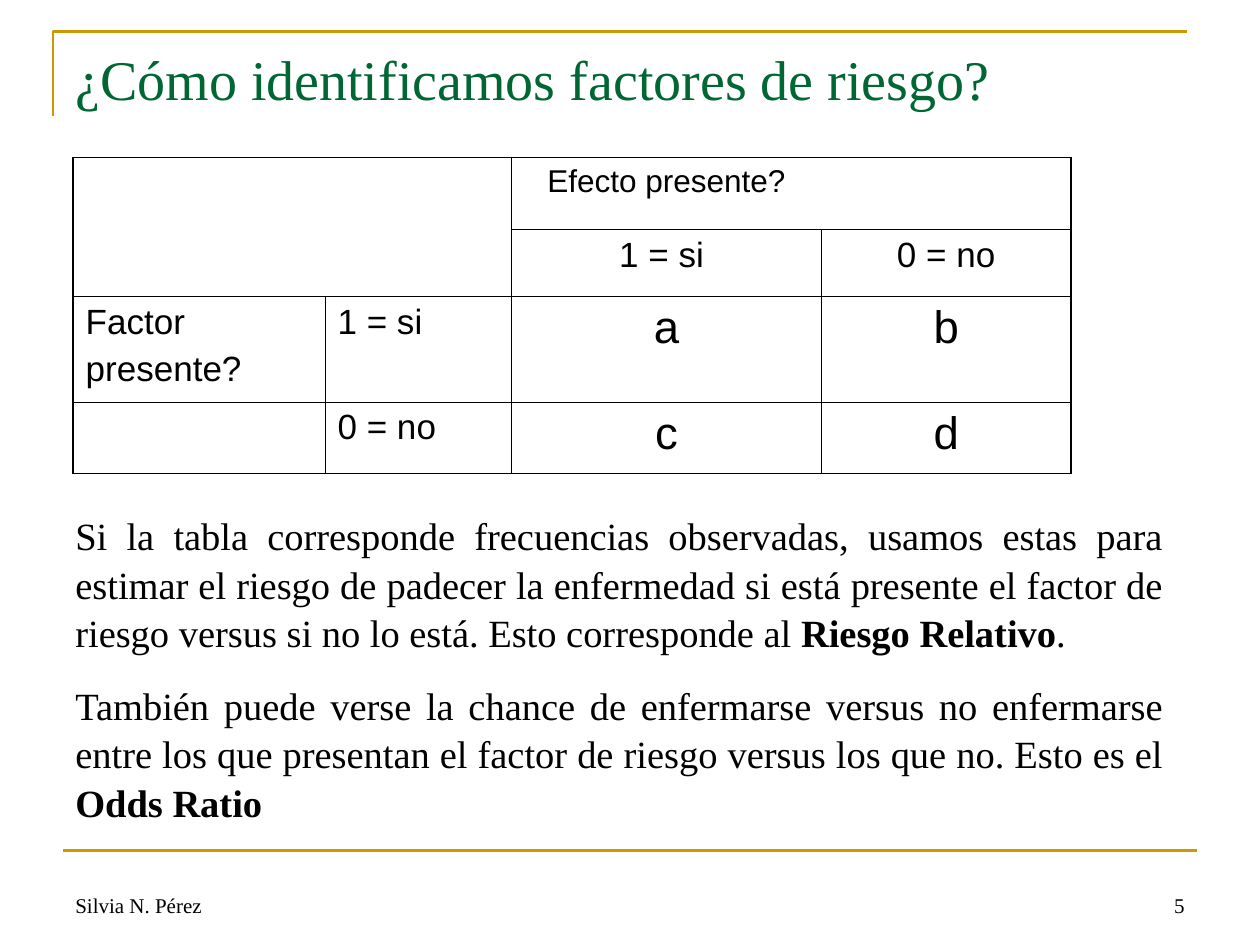
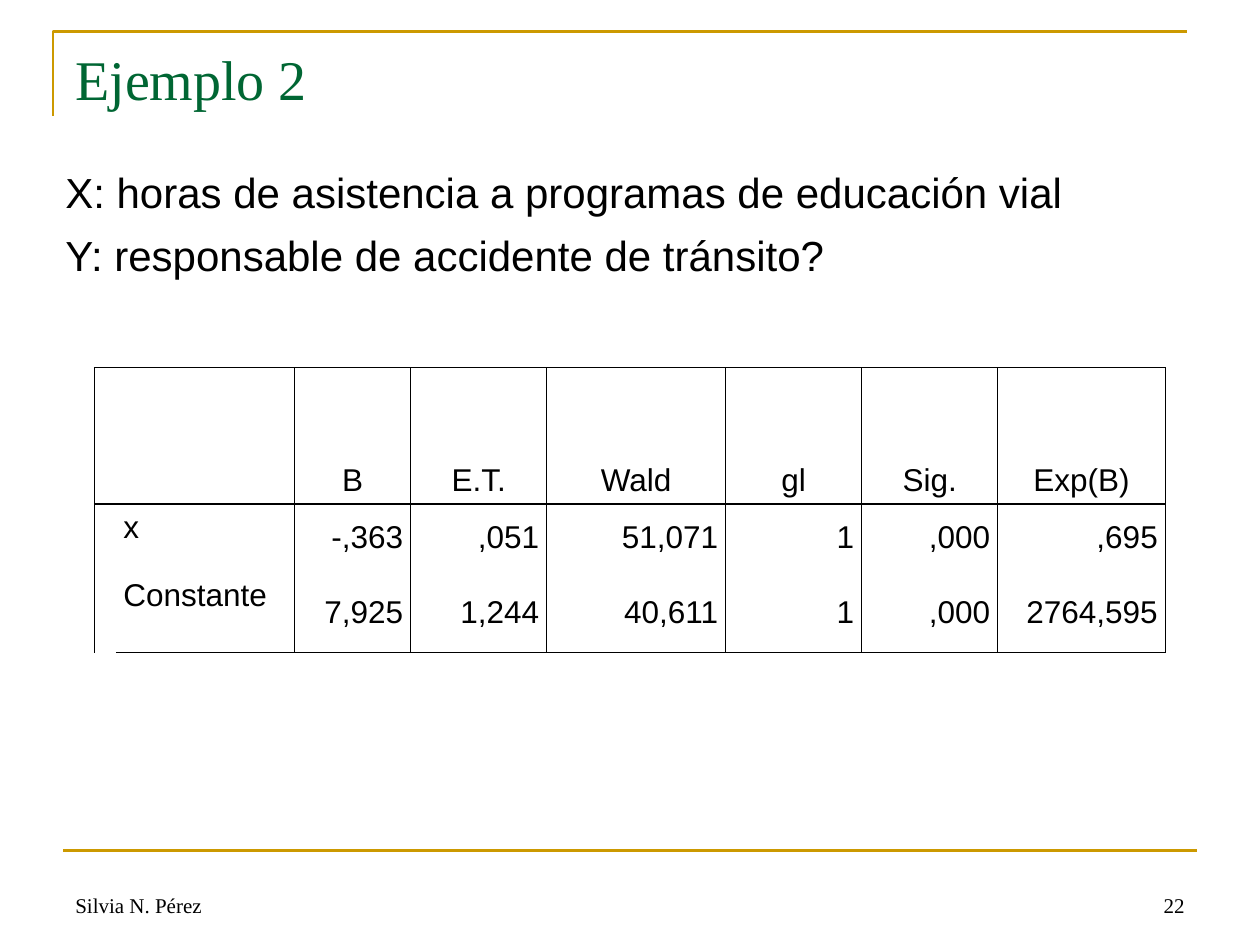
from lxml import etree
from pptx import Presentation
from pptx.dml.color import RGBColor
from pptx.enum.shapes import MSO_CONNECTOR
from pptx.enum.text import MSO_ANCHOR, PP_ALIGN
from pptx.oxml.ns import qn
from pptx.util import Inches, Pt

LEFT, CENTER, RIGHT, JUSTIFY = PP_ALIGN.LEFT, PP_ALIGN.CENTER, PP_ALIGN.RIGHT, PP_ALIGN.JUSTIFY
TOP, MIDDLE, BOTTOM = MSO_ANCHOR.TOP, MSO_ANCHOR.MIDDLE, MSO_ANCHOR.BOTTOM
STRAIGHT = MSO_CONNECTOR.STRAIGHT

COLORS = {"gold": "CC9900", "title": "006633", "text": "000000", "cell": "FFFFFF"}
SERIF, SANS = "Times New Roman", "Arial"
AUTHOR = "Silvia N. Pérez"

# Neighbouring cells with the same letter in "areas" have no line between them.
RISK_TABLE = {
    "at": (0.58, 1.25),
    "columns": [2, 1.48, 2.46, 1.98],
    "rows": [0.57, 0.53, 0.84, 0.57],
    "cells": [
        ["", "", "Efecto presente?", ""],
        ["", "", "1 = si ", "0 = no"],
        ["Factor\npresente?", "1 = si", "a", "b"],
        ["", "0 = no", "c", "d"],
    ],
    "areas": ["AABB", "AACD", "EFGH", "IJKL"],
    "vertical_lines": [1.08, 0.45, 0.45, 0.45, 1.08],
    "horizontal_lines": [1.08, 0.45, 0.45, 0.45, 1.08],
    "side_margin": 0.1,
    "merges": [],
}
RISK_NOTES = [
    [("Si la tabla corresponde frecuencias observadas, usamos estas para estimar el riesgo de "
      "padecer la enfermedad si está presente el factor de riesgo versus si no lo está. "
      "Esto corresponde al ", False), ("Riesgo Relativo", True), (".", False)],
    [("También puede verse la chance de enfermarse versus no enfermarse entre los que presentan "
      "el factor de riesgo versus los que no. Esto es el ", False), ("Odds Ratio ", True)],
]

VARIABLES = [
    [("X: horas de asistencia a programas de educación vial", False)],
    [("Y: responsable de accidente de tránsito?", False)],
]
REGRESSION_TABLE = {
    "at": (0.75, 2.92),
    "columns": [0.17, 1.42, 0.92, 1.08, 1.42, 1.08, 1.08, 1.33],
    "rows": [1.08, 0.54, 0.64],
    "cells": [
        ["", "", "B", "E.T.", "Wald", "gl", "Sig.", "Exp(B)"],
        ["", "x", "-,363", ",051", "51,071", "1", ",000", ",695"],
        ["", "Constante", "7,925", "1,244", "40,611", "1", ",000", "2764,595"],
    ],
    "areas": ["AABCDEFG", "HHIJKLMN", "HHIJKLMN"],
    "vertical_lines": [0.75, 0.45, 0.75] + [0.45] * 6,
    "horizontal_lines": [0.75] * 4,
    "side_margin": 0.06,
    "merges": [((0, 0), (0, 1)), ((1, 0), (2, 0))],
}


def risk_style(row, column):
    """Size, alignment and anchor of a cell in the risk table."""
    if row == 0:
        size = 18
    else:
        size = 26 if row >= 2 and column >= 2 else 20
    return size, CENTER if column >= 2 else LEFT, TOP


def regression_style(row, column):
    """Size, alignment and anchor of a cell in the regression table."""
    if row == 0:
        return 18, CENTER, BOTTOM
    return (18, LEFT, TOP) if column < 2 else (18, RIGHT, MIDDLE)


def color(name):
    return RGBColor.from_string(COLORS[name])


def write(frame, paragraphs, size, font, ink="text", align=LEFT, before=0, spacing=None):
    """Fill a text frame with paragraphs, each a list of (text, bold) spans."""
    for index, spans in enumerate(paragraphs):
        para = frame.paragraphs[0] if index == 0 else frame.add_paragraph()
        para.alignment = align
        if index:
            para.space_before = Pt(before)
        if spacing:
            para.line_spacing = spacing
        for text, bold in spans:
            span = para.add_run()
            span.text = text
            span.font.name = font
            span.font.size = Pt(size)
            span.font.bold = bold
            span.font.color.rgb = color(ink)


def add_text(page, area, paragraphs, size, font, anchor=TOP, **style):
    box = page.shapes.add_textbox(*map(Inches, area))
    frame = box.text_frame
    frame.word_wrap = True
    frame.vertical_anchor = anchor
    write(frame, paragraphs, size, font, **style)


def add_page(deck, title, number):
    """Add a page with the gold frame, the title and the footer."""
    page = deck.slides.add_slide(deck.slide_layouts[6])

    builder = page.shapes.build_freeform(Inches(0.42), Inches(0.92))
    corner = [(Inches(0.42), Inches(0.25)), (Inches(9.42), Inches(0.25))]
    builder.add_line_segments(corner, close=False)
    frame_line = builder.convert_to_shape()
    frame_line.fill.background()
    frame_line.shadow.inherit = False

    footer_line = page.shapes.add_connector(STRAIGHT, *map(Inches, (0.5, 6.75, 9.5, 6.75)))
    etree.SubElement(footer_line._element.spPr, qn("a:effectLst"))
    for shape in (frame_line, footer_line):
        shape.line.color.rgb = color("gold")
        shape.line.width = Pt(1.5)

    for left, text, align in ((0.5, AUTHOR, LEFT), (7.17, str(number), RIGHT)):
        add_text(page, (left, 6.83, 2.33, 0.5), [[(text, False)]], 12, SERIF, BOTTOM, align=align)
    add_text(page, (0.5, 0.3, 9, 1.25), [[(title, False)]], 32, SERIF, ink="title")
    return page


def set_borders(cell, widths):
    """Draw the left, right, top and bottom lines; a width of 0 means no line."""
    properties = cell._tc.get_or_add_tcPr()
    for index, (side, width) in enumerate(zip("LRTB", widths)):
        line = etree.Element(qn(f"a:ln{side}"), w=str(Pt(width)))
        if width:
            fill = etree.SubElement(line, qn("a:solidFill"))
            etree.SubElement(fill, qn("a:srgbClr"), val=COLORS["text"])
        else:
            etree.SubElement(line, qn("a:noFill"))
        properties.insert(index, line)


def add_grid(page, data, style):
    columns, rows, areas = data["columns"], data["rows"], data["areas"]
    area = (*data["at"], sum(columns), sum(rows))
    table = page.shapes.add_table(len(rows), len(columns), *map(Inches, area)).table
    table.first_row = table.horz_banding = False
    for column, width in zip(table.columns, columns):
        column.width = Inches(width)
    for row, height in zip(table.rows, rows):
        row.height = Inches(height)

    def area_at(row, column):
        inside = 0 <= row < len(rows) and 0 <= column < len(columns)
        return areas[row][column] if inside else None

    for r, texts in enumerate(data["cells"]):
        for c, text in enumerate(texts):
            cell = table.cell(r, c)
            size, align, anchor = style(r, c)
            cell.margin_left = cell.margin_right = Inches(data["side_margin"])
            cell.vertical_anchor = anchor
            cell.fill.solid()
            cell.fill.fore_color.rgb = color("cell")
            if text:
                lines = [[(line, False)] for line in text.split("\n")]
                write(cell.text_frame, lines, size, SANS, align=align, before=5)
            vertical, horizontal = data["vertical_lines"], data["horizontal_lines"]
            edges = [(r, c - 1, vertical[c]), (r, c + 1, vertical[c + 1]),
                     (r - 1, c, horizontal[r]), (r + 1, c, horizontal[r + 1])]
            set_borders(cell, [0 if area_at(row, column) == areas[r][c] else width
                               for row, column, width in edges])
    for first, last in data["merges"]:
        table.cell(*first).merge(table.cell(*last))


def main():
    deck = Presentation()
    deck.slide_width, deck.slide_height = Inches(10), Inches(7.5)

    page = add_page(deck, "¿Cómo identificamos factores de riesgo?", 5)
    add_grid(page, RISK_TABLE, risk_style)
    add_text(page, (0.5, 4, 8.83, 2.49), RISK_NOTES, 22, SERIF,
             align=JUSTIFY, before=13.8, spacing=1.05)

    page = add_page(deck, "Ejemplo 2", 22)
    add_text(page, (0.42, 1.25, 9.42, 4.83), VARIABLES, 24, SANS,
             align=JUSTIFY, before=6, spacing=1.05)
    add_grid(page, REGRESSION_TABLE, regression_style)

    deck.save("out.pptx")


if __name__ == "__main__":
    main()
